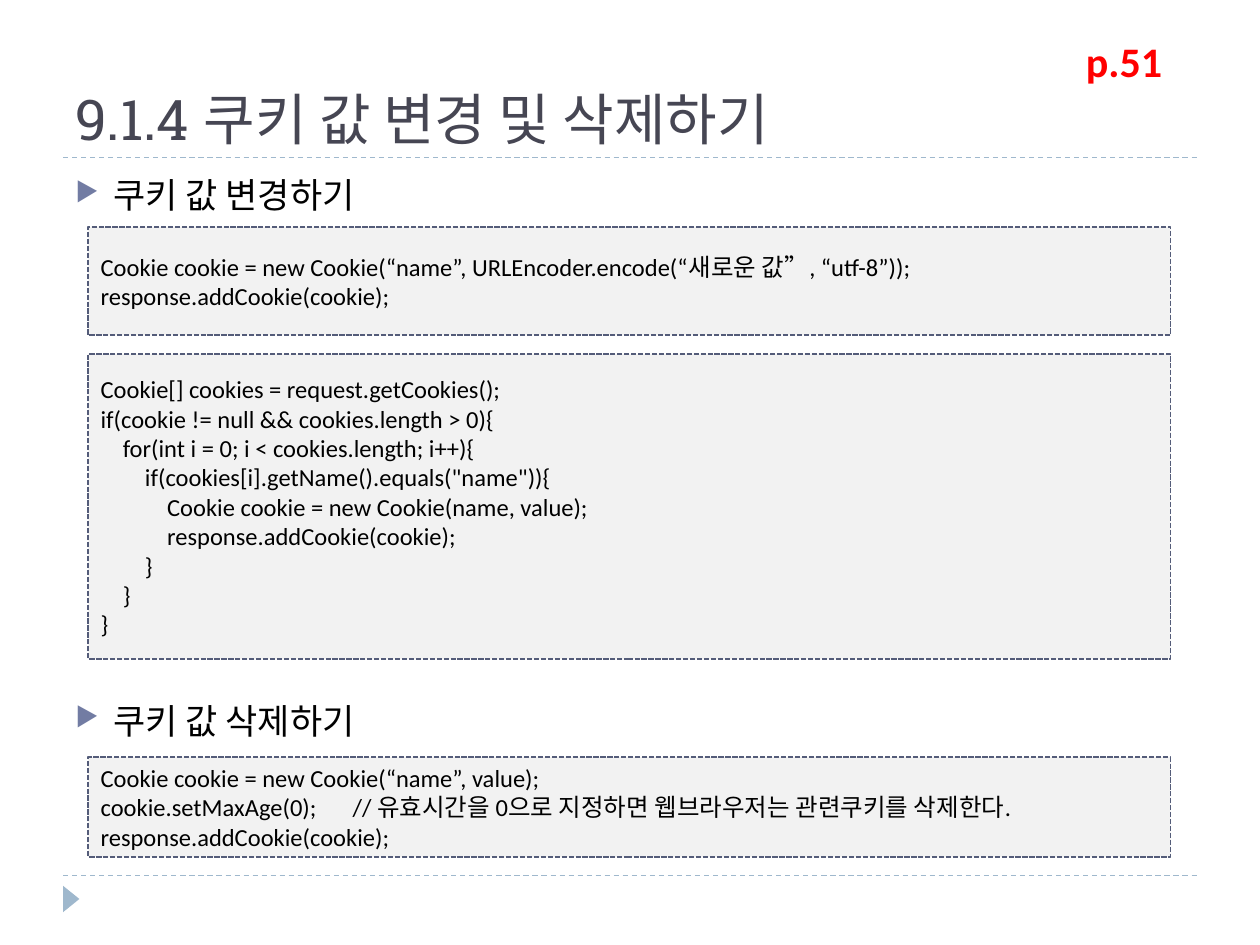
import pptx
import pptx.util
import pptx.dml.color
import pptx.enum.dml
import pptx.enum.shapes
import pptx.enum.text
import pptx.oxml
import pptx.oxml.ns
from dataclasses import dataclass

Inches = pptx.util.Inches
Pt = pptx.util.Pt
Anchor = pptx.enum.text.MSO_ANCHOR
Shape = pptx.enum.shapes.MSO_SHAPE
Dash = pptx.enum.dml.MSO_LINE


@dataclass(frozen=True)
class Theme:
    title_font: str = "Roboto Slab"
    body_font: str = "Calibri"
    title: str = "464653"
    text: str = "000000"
    page: str = "FF0000"
    bullet: str = "727CA3"
    rule: str = "9FB8CD"
    box_fill: str = "F2F2F2"
    box_line: str = "545C79"
    title_size: int = 32
    page_size: int = 24
    heading_size: int = 20
    code_size: int = 14


@dataclass(frozen=True)
class Heading:
    top: float
    text: str


@dataclass(frozen=True)
class CodeLine:
    text: str
    level: int = 0


@dataclass(frozen=True)
class CodeBox:
    top: float
    height: float
    lines: tuple[CodeLine, ...]


THEME = Theme()
CODE_INDENT = 0.176

HEADINGS = (
    Heading(1.33, "쿠키 값 변경하기"),
    Heading(5.5, "쿠키 값 삭제하기"),
)

CODE_BOXES = (
    CodeBox(1.8, 0.86, (
        CodeLine("Cookie cookie = new Cookie(“name”, URLEncoder.encode(“새로운 값”, “utf-8”));"),
        CodeLine("response.addCookie(cookie);"),
    )),
    CodeBox(2.81, 2.42, (
        CodeLine("Cookie[] cookies = request.getCookies();"),
        CodeLine("if(cookie != null && cookies.length > 0){"),
        CodeLine("for(int i = 0; i < cookies.length; i++){", 1),
        CodeLine('if(cookies[i].getName().equals("name")){', 2),
        CodeLine("Cookie cookie = new Cookie(name, value);", 3),
        CodeLine("response.addCookie(cookie);", 3),
        CodeLine("}", 2),
        CodeLine("}", 1),
        CodeLine("}"),
    )),
    CodeBox(6.01, 0.79, (
        CodeLine("Cookie cookie = new Cookie(“name”, value);"),
        CodeLine("cookie.setMaxAge(0);\t// 유효시간을 0으로 지정하면 웹브라우저는 관련쿠키를 삭제한다."),
        CodeLine("response.addCookie(cookie);"),
    )),
)


def rgb(value: str) -> pptx.dml.color.RGBColor:
    return pptx.dml.color.RGBColor.from_string(value)


def format_runs(p, size: int, color: str, font: str = THEME.body_font, bold: bool = False) -> None:
    for r in p.runs:
        r.font.name = font
        r.font.size = Pt(size)
        r.font.bold = bold
        r.font.color.rgb = rgb(color)


def add_text(s, left: float, top: float, width: float, height: float, text: str):
    tf = s.shapes.add_textbox(Inches(left), Inches(top), Inches(width), Inches(height)).text_frame
    tf.word_wrap = True
    tf.text = text
    return tf


def add_rule(s, y: float) -> None:
    line = s.shapes.add_connector(
        pptx.enum.shapes.MSO_CONNECTOR.STRAIGHT, Inches(0.5), Inches(y), Inches(9.5), Inches(y))
    line.line.color.rgb = rgb(THEME.rule)
    line.line.width = Pt(0.75)
    line.line.dash_style = Dash.DASH
    line._element.spPr.append(pptx.oxml.parse_xml(
        f"<a:effectLst {pptx.oxml.ns.nsdecls('a')}/>"))


def add_heading(s, heading: Heading) -> None:
    p = add_text(s, 0.5, heading.top, 9, 0.5, heading.text).paragraphs[0]
    p.space_before = Pt(6)
    format_runs(p, THEME.heading_size, THEME.text)
    pPr = p._p.get_or_add_pPr()
    pPr.set("marL", str(Inches(0.3)))
    pPr.set("indent", str(Inches(-0.3)))
    ns = pptx.oxml.ns.nsdecls("a")
    for xml in (
        f'<a:buClr {ns}><a:srgbClr val="{THEME.bullet}"/></a:buClr>',
        f'<a:buSzPct {ns} val="76000"/>',
        f'<a:buChar {ns} char="▶"/>',
    ):
        pPr.append(pptx.oxml.parse_xml(xml))


def add_code(s, box: CodeBox) -> None:
    sp = s.shapes.add_shape(
        Shape.RECTANGLE, Inches(0.7), Inches(box.top), Inches(8.59), Inches(box.height))
    sp.shadow.inherit = False
    sp.fill.solid()
    sp.fill.fore_color.rgb = rgb(THEME.box_fill)
    sp.line.color.rgb = rgb(THEME.box_line)
    sp.line.width = Pt(1)
    sp.line.dash_style = Dash.SQUARE_DOT
    tf = sp.text_frame
    tf.word_wrap = True
    tf.vertical_anchor = Anchor.MIDDLE
    tf.text = "\n".join(line.text for line in box.lines)
    for p, line in zip(tf.paragraphs, box.lines):
        p.alignment = pptx.enum.text.PP_ALIGN.LEFT
        p._p.get_or_add_pPr().set("marL", str(Inches(CODE_INDENT * line.level)))
        format_runs(p, THEME.code_size, THEME.text)


def add_marker(s) -> None:
    sp = s.shapes.add_shape(
        Shape.ISOSCELES_TRIANGLE, Inches(0.46), Inches(7.07), Inches(0.21), Inches(0.13))
    sp.rotation = 90
    sp.shadow.inherit = False
    sp.fill.solid()
    sp.fill.fore_color.rgb = rgb(THEME.rule)
    sp.line.fill.background()


prs = pptx.Presentation()
prs.slide_width = Inches(10)
prs.slide_height = Inches(7.5)
s = prs.slides.add_slide(prs.slide_layouts[6])

for y in (6.95, 1.25):
    add_rule(s, y)
add_marker(s)

tf = add_text(s, 0.5, 0.17, 9, 1.08, "9.1.4 쿠키 값 변경 및 삭제하기")
tf.vertical_anchor = Anchor.BOTTOM
format_runs(tf.paragraphs[0], THEME.title_size, THEME.title, THEME.title_font)

for heading in HEADINGS:
    add_heading(s, heading)
for box in CODE_BOXES:
    add_code(s, box)

tf = add_text(s, 8.52, 0.23, 1.02, 0.5, "p.51")
format_runs(tf.paragraphs[0], THEME.page_size, THEME.page, bold=True)

prs.save("out.pptx")
